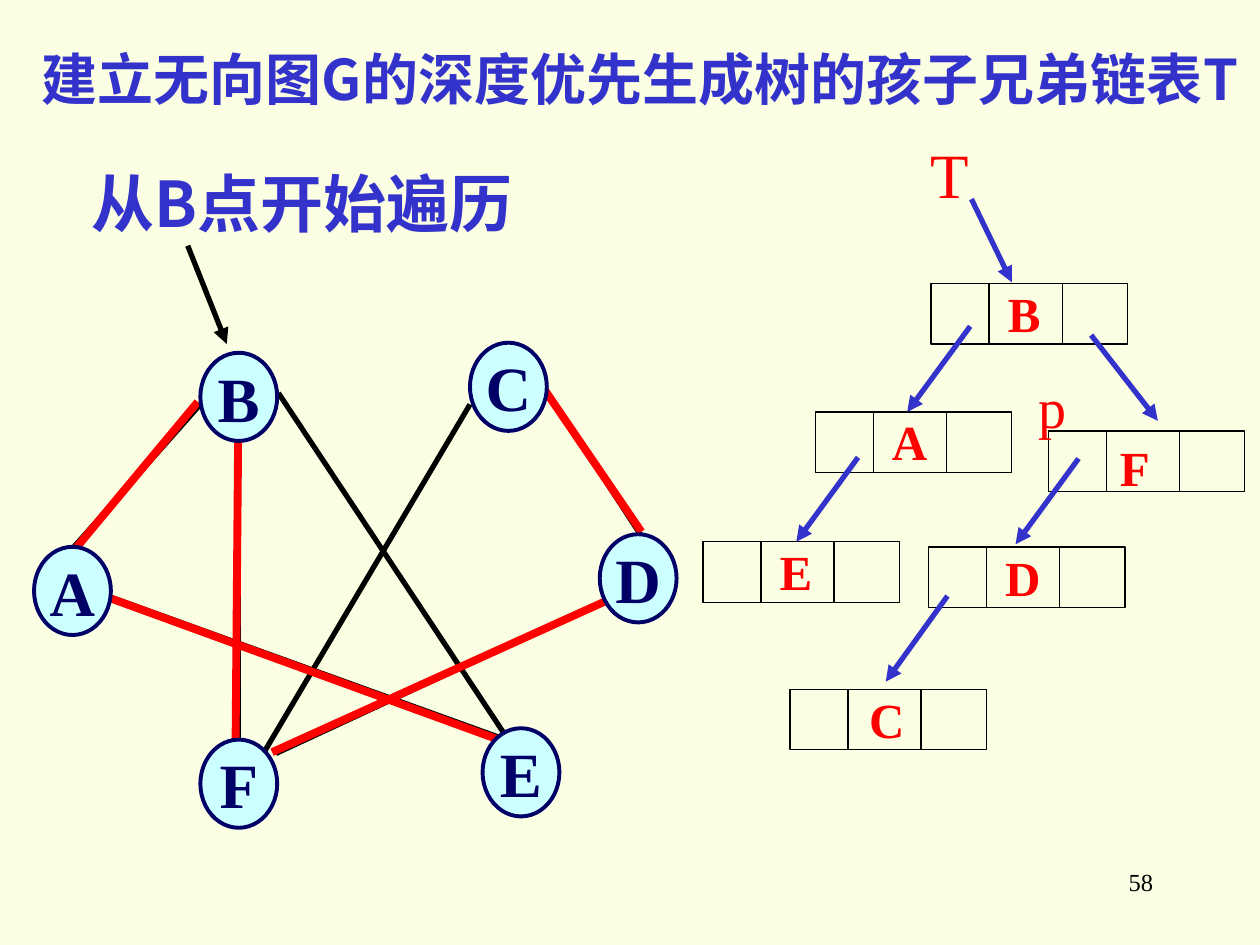
from lxml import etree
from pptx import Presentation
from pptx import util as u
from pptx.dml.color import RGBColor
from pptx.enum import shapes, text
from pptx.oxml.ns import qn

COLORS = {"paper": "FBFEE2", "heading": "3333CC", "node": "CCFFFF",
          "navy": "000066", "red": "FF0000", "black": "000000"}
SERIF = "Times New Roman"
SANS = "Noto Sans CJK SC"
HEADING = {"name": SANS, "bold": True}
LETTER = {"name": SERIF, "bold": True}
PLAIN = {"name": SERIF, "bold": False}

NODE_SIZE = (0.61, 0.7)
NODES = {"B": (1.59, 2.8), "A": (0.27, 4.34), "E": (3.83, 5.78),
         "F": (1.59, 5.87), "D": (4.76, 4.24), "C": (3.73, 2.72)}
GRAPH_EDGES = [
    (1.89, 3.47, 1.89, 5.89), (1.59, 3.21, 0.57, 4.36),
    (2.21, 3.12, 4.04, 5.88), (0.88, 4.74, 4.04, 5.88),
    (3.73, 3.21, 2.09, 5.98), (4.35, 3.12, 5.16, 4.36),
    (4.86, 4.74, 2.19, 5.98)]
TREE_EDGES = [
    (1.57, 3.19, 0.57, 4.39), (0.88, 4.75, 4.01, 5.89),
    (1.89, 3.5, 1.87, 5.89), (2.16, 5.97, 4.81, 4.77),
    (5.09, 4.22, 4.32, 3.09)]

CELL_SIZE = (1.56, 0.48)
DIVIDERS = (0.46, 1.04)
# Each cell: left, top, and the offset of its letter
CELLS = {"B": (7.39, 2.25, 0.51, -0.05), "A": (6.47, 3.27, 0.51, -0.05),
         "E": (5.58, 4.3, 0.51, -0.05), "F": (8.32, 3.42, 0.47, 0),
         "D": (7.37, 4.34, 0.51, -0.04), "C": (6.27, 5.47, 0.53, -0.05)}
POINTERS = [
    (7.71, 1.58, 8.03, 2.24), (7.7, 2.59, 7.2, 3.27),
    (6.81, 3.63, 6.32, 4.3), (8.66, 2.66, 9.19, 3.34),
    (8.56, 3.64, 8.06, 4.32), (7.52, 4.73, 7.03, 5.41)]


def inches(values):
    return [u.Inches(value) for value in values]


def color(name):
    return RGBColor.from_string(COLORS[name])


def write(shape, words, style, size, color_name, align=text.PP_ALIGN.LEFT,
          anchor=text.MSO_ANCHOR.TOP, wrap=True):
    frame = shape.text_frame
    frame.word_wrap = wrap
    frame.auto_size = text.MSO_AUTO_SIZE.NONE
    frame.vertical_anchor = anchor
    paragraph = frame.paragraphs[0]
    paragraph.alignment = align
    run = paragraph.add_run()
    run.text = words
    for name, value in {**style, "size": u.Pt(size)}.items():
        setattr(run.font, name, value)
    run.font.color.rgb = color(color_name)
    properties = run.font._element
    etree.SubElement(properties, qn("a:ea"), typeface=style["name"])


def add_label(slide, box, words, style, size, color_name, **layout):
    shape = slide.shapes.add_textbox(*inches(box))
    write(shape, words, style, size, color_name, **layout)


def add_line(slide, ends, color_name, width, arrow=False):
    line = slide.shapes.add_connector(
        shapes.MSO_CONNECTOR.STRAIGHT, *inches(ends))
    line.line.color.rgb = color(color_name)
    line.line.width = u.Pt(width)
    if arrow:
        etree.SubElement(line.line._get_or_add_ln(), qn("a:tailEnd"),
                         type="triangle")
    etree.SubElement(line._element.spPr, qn("a:effectLst"))


def add_outline(slide, kind, box, color_name, width):
    shape = slide.shapes.add_shape(kind, *inches(box))
    shape.shadow.inherit = False
    shape.fill.background()
    shape.line.color.rgb = color(color_name)
    shape.line.width = u.Pt(width)
    return shape


def add_title(slide, box, words):
    title = slide.shapes.title
    title.left, title.top, title.width, title.height = inches(box)
    write(title, words, HEADING, 32, "heading")
    title.text_frame.paragraphs[0].line_spacing = 1.0


def add_node(slide, box, letter):
    node = add_outline(slide, shapes.MSO_SHAPE.OVAL, box, "navy", 2.25)
    node.fill.solid()
    node.fill.fore_color.rgb = color("node")
    write(node, letter, LETTER, 36, "navy", align=text.PP_ALIGN.CENTER,
          anchor=text.MSO_ANCHOR.MIDDLE, wrap=False)


def add_cell(slide, box, letter, offset):
    left, top, _, height = box
    add_outline(slide, shapes.MSO_SHAPE.RECTANGLE, box, "black", 0.75)
    for divider in DIVIDERS:
        x = left + divider
        add_line(slide, (x, top, x, top + height), "black", 0.75)
    add_label(slide, (left + offset[0], top + offset[1], 0.63, 0.57),
              letter, LETTER, 28, "red")


def add_graph(slide):
    for ends in GRAPH_EDGES:
        add_line(slide, ends, "black", 3)
    for ends in TREE_EDGES:
        add_line(slide, ends, "red", 4.5)
    for letter, corner in NODES.items():
        add_node(slide, corner + NODE_SIZE, letter)
    # Starting point of the traversal
    add_label(slide, (0.63, 1.26, 4, 0.7), "从B点开始遍历",
              HEADING, 36, "heading")
    add_line(slide, (1.49, 1.95, 1.8, 2.73), "black", 3, arrow=True)


def add_linked_tree(slide):
    for letter, (left, top, *offset) in CELLS.items():
        add_cell(slide, (left, top) + CELL_SIZE, letter, offset)
    for ends in POINTERS:
        add_line(slide, ends, "heading", 3, arrow=True)
    add_label(slide, (7.29, 1.03, 0.83, 0.7), "T", PLAIN, 36, "red")
    add_label(slide, (8.14, 2.91, 0.83, 0.64), "p", PLAIN, 32, "red")


def main():
    presentation = Presentation()
    presentation.slide_width = u.Inches(10)
    presentation.slide_height = u.Inches(7.5)
    slide = presentation.slides.add_slide(presentation.slide_layouts[5])
    slide.background.fill.solid()
    slide.background.fill.fore_color.rgb = color("paper")

    add_title(slide, (0.23, 0.3, 9.77, 1.17),
              "建立无向图G的深度优先生成树的孩子兄弟链表T")
    add_graph(slide)
    add_linked_tree(slide)
    # Page number
    add_label(slide, (7.17, 6.83, 2.08, 0.5), "58", PLAIN, 14, "black",
              align=text.PP_ALIGN.RIGHT)
    presentation.save("out.pptx")


if __name__ == "__main__":
    main()
